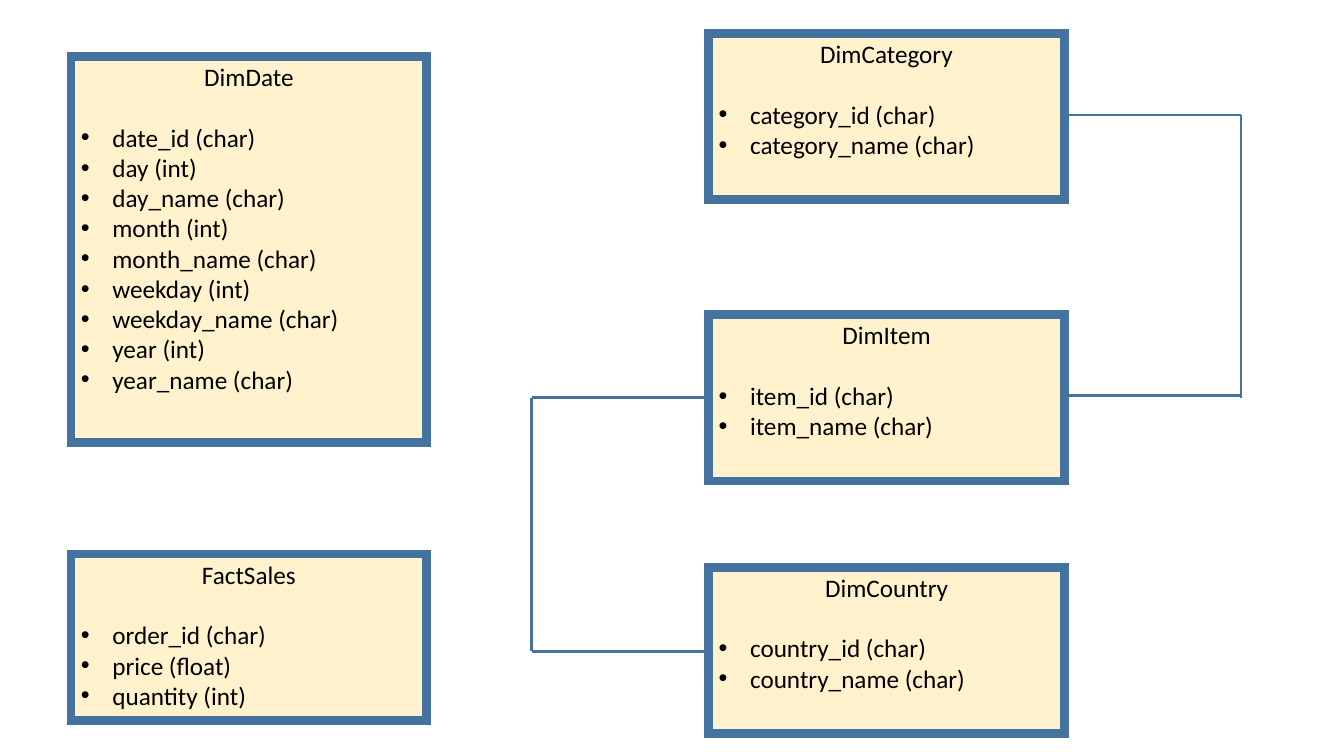
from lxml import etree
from pptx import Presentation
from pptx.dml.color import RGBColor
from pptx.enum import shapes, text
from pptx.oxml import ns
from pptx.util import Pt

CREAM = RGBColor(0xFF, 0xF2, 0xCC)
BLUE = RGBColor(0x43, 0x73, 0x9E)
BLACK = RGBColor(0, 0, 0)

LEFT_COL, RIGHT_COL = 50.7, 506.2
CARD_W, CARD_H = 254.2, 118.8
RIGHT_EDGE = RIGHT_COL + CARD_W
LEFT_RAIL, RIGHT_RAIL = 379.9, 886.4
CATEGORY_Y, ITEM_Y, COUNTRY_Y = 82.1, 284.1, 465.2
ITEM_RIGHT_Y = 282.4

TABLES = [
    ("DimDate", LEFT_COL, 40.3, 275.8,
     ["date_id (char)", "day (int)", "day_name (char)", "month (int)",
      "month_name (char)", "weekday (int)", "weekday_name (char)",
      "year (int)", "year_name (char)"]),
    ("DimCategory", RIGHT_COL, 23.8, CARD_H,
     ["category_id (char)", "category_name (char)"]),
    ("DimItem", RIGHT_COL, 224.8, CARD_H,
     ["item_id (char)", "item_name (char)"]),
    ("DimCountry", RIGHT_COL, 405.1, CARD_H,
     ["country_id (char)", "country_name (char)"]),
    ("FactSales", LEFT_COL, 395.7, CARD_H,
     ["order_id (char)", "price (float)", "quantity (int)"]),
]

LINKS = [
    (RIGHT_EDGE, CATEGORY_Y, RIGHT_RAIL, CATEGORY_Y),
    (RIGHT_RAIL, ITEM_Y, RIGHT_RAIL, CATEGORY_Y),
    (RIGHT_EDGE, ITEM_RIGHT_Y, RIGHT_RAIL, ITEM_RIGHT_Y),
    (LEFT_RAIL, ITEM_Y, RIGHT_COL, ITEM_Y),
    (LEFT_RAIL, ITEM_Y, LEFT_RAIL, COUNTRY_Y),
    (LEFT_RAIL, COUNTRY_Y, RIGHT_COL, COUNTRY_Y),
]


def add_bullet(p):
    pPr = p._p.get_or_add_pPr()
    pPr.set("marL", str(Pt(22.5)))
    pPr.set("indent", str(-Pt(22.5)))
    font = etree.SubElement(pPr, ns.qn("a:buFont"))
    font.set("typeface", "Arial")
    etree.SubElement(pPr, ns.qn("a:buChar")).set("char", "•")


def write(p, content, align=text.PP_ALIGN.LEFT, bullet=False, after=0,
          size=18, color=BLACK, name="Calibri"):
    p.alignment = align
    p.space_after = Pt(after)
    if bullet:
        add_bullet(p)
    r = p.add_run()
    r.text = content
    r.font.size = Pt(size)
    r.font.name = name
    r.font.color.rgb = color


def set_line(line, width):
    line.color.rgb = BLUE
    line.width = Pt(width)


def add_table_card(s, title, x, y, h, columns):
    sp = s.shapes.add_shape(shapes.MSO_SHAPE.RECTANGLE,
                            Pt(x), Pt(y), Pt(CARD_W), Pt(h))
    sp.shadow.inherit = False
    sp.fill.solid()
    sp.fill.fore_color.rgb = CREAM
    set_line(sp.line, 6.25)
    ln = sp._element.spPr.find(ns.qn("a:ln"))
    etree.SubElement(ln, ns.qn("a:miter")).set("lim", "800000")
    tf = sp.text_frame
    tf.word_wrap = True
    tf.vertical_anchor = text.MSO_ANCHOR.TOP
    write(tf.paragraphs[0], title, align=text.PP_ALIGN.CENTER, after=21.7)
    for column in columns:
        write(tf.add_paragraph(), column, bullet=True)


def add_link(s, x1, y1, x2, y2):
    cn = s.shapes.add_connector(shapes.MSO_CONNECTOR.STRAIGHT,
                                Pt(x1), Pt(y1), Pt(x2), Pt(y2))
    set_line(cn.line, 2)
    etree.SubElement(cn._element.spPr, ns.qn("a:effectLst"))


def main():
    prs = Presentation()
    prs.slide_width, prs.slide_height = Pt(960), Pt(540)
    s = prs.slides.add_slide(prs.slide_layouts[6])
    for table in TABLES:
        add_table_card(s, *table)
    for link in LINKS:
        add_link(s, *link)
    prs.save("out.pptx")


if __name__ == "__main__":
    main()
